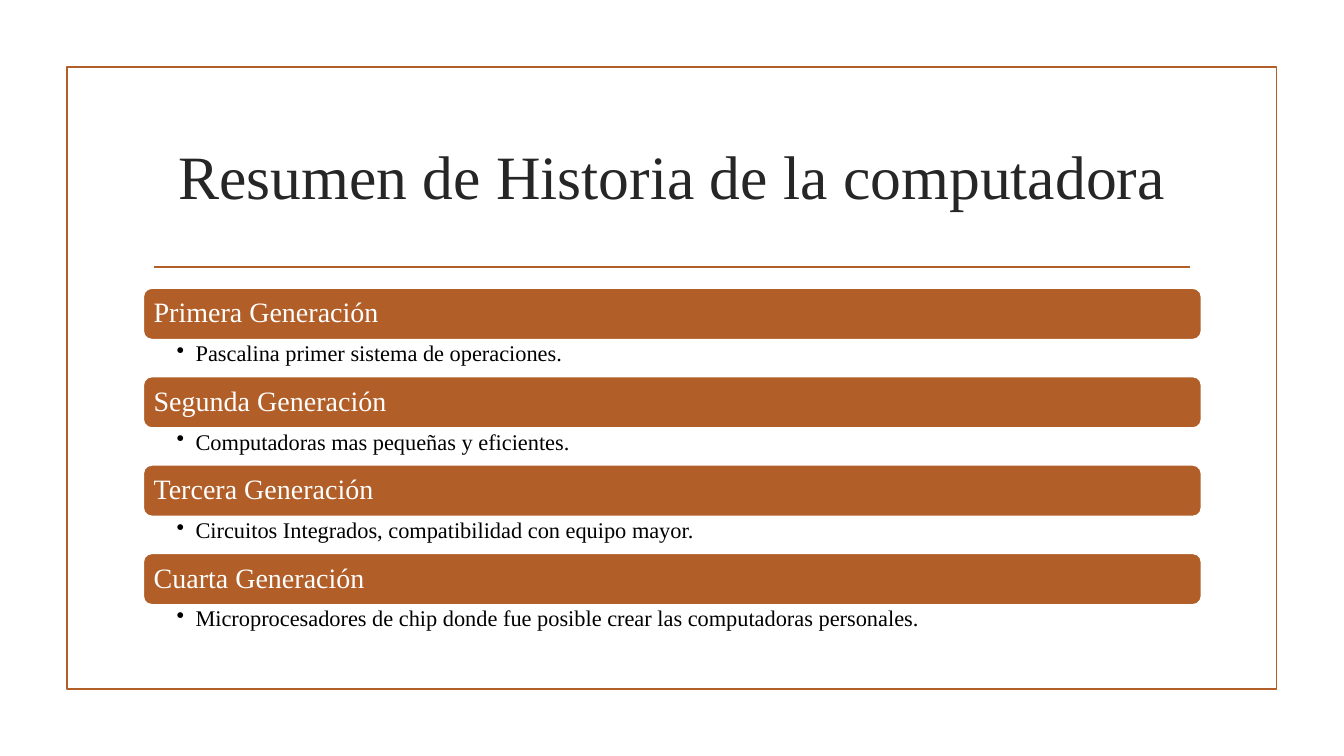
from dataclasses import dataclass

from lxml.etree import SubElement
from pptx import Presentation
from pptx.dml.color import RGBColor
from pptx.enum.shapes import MSO_CONNECTOR as Connector, MSO_SHAPE as Shape
from pptx.enum.text import MSO_ANCHOR as Anchor, PP_ALIGN as Align
from pptx.oxml.ns import qn
from pptx.util import Cm, Pt


@dataclass(frozen=True)
class Theme:
    font: str = "Times New Roman"
    accent: RGBColor = RGBColor(0xB1, 0x5E, 0x28)
    title: RGBColor = RGBColor(0x26, 0x26, 0x26)
    body: RGBColor = RGBColor(0, 0, 0)
    light: RGBColor = RGBColor(0xFF, 0xFF, 0xFF)
    title_size: int = 44
    heading_size: int = 20
    detail_size: int = 16
    line_width: float = 1.25


THEME = Theme()

GENERATIONS = [
    ("Primera Generación", "Pascalina primer sistema de operaciones."),
    ("Segunda Generación", "Computadoras mas pequeñas y eficientes."),
    ("Tercera Generación", "Circuitos Integrados, compatibilidad con equipo mayor."),
    ("Cuarta Generación", "Microprocesadores de chip donde fue posible crear "
                          "las computadoras personales."),
]


def write(box, text, *, size, color, align=Align.LEFT, anchor=Anchor.MIDDLE,
          margins=(0.25, 0.13, 0.25, 0.13), spacing=0.9, after=0, indent=None):
    """Fill a box with one paragraph; an indent in cm makes it a bullet."""
    frame = box.text_frame
    frame.word_wrap = True
    frame.vertical_anchor = anchor
    (frame.margin_left, frame.margin_top,
     frame.margin_right, frame.margin_bottom) = (Cm(margin) for margin in margins)
    para = frame.paragraphs[0]
    para.alignment = align
    para.line_spacing = spacing
    para.space_after = Pt(after)
    if indent:
        props = para._p.get_or_add_pPr()
        props.set("marL", str(Cm(indent)))
        props.set("indent", str(-Cm(indent)))
        SubElement(props, qn("a:buChar")).set("char", "•")
    span = para.add_run()
    span.text = text
    span.font.name = THEME.font
    span.font.size = Pt(size)
    span.font.color.rgb = color


def add_outlined(page, kind, left, top, width, height, line):
    shape = page.shapes.add_shape(kind, Cm(left), Cm(top), Cm(width), Cm(height))
    shape.shadow.inherit = False
    shape.line.color.rgb = line
    shape.line.width = Pt(THEME.line_width)
    return shape


def add_frame(page, left, top, width, height):
    add_outlined(page, Shape.RECTANGLE, left, top, width, height,
                 THEME.accent).fill.background()


def add_title(page, text, left, top, width, height):
    """Centred title with a rule below it."""
    box = page.shapes.add_textbox(Cm(left), Cm(top), Cm(width), Cm(height))
    write(box, text, size=THEME.title_size, color=THEME.title, align=Align.CENTER)

    inset, gap = 0.28, 0.38
    rule_top = Cm(top + height + gap)
    rule = page.shapes.add_connector(Connector.STRAIGHT, Cm(left + inset), rule_top,
                                     Cm(left + width - inset), rule_top)
    rule.line.color.rgb = THEME.accent
    rule.line.width = Pt(THEME.line_width)
    SubElement(rule._element.spPr, qn("a:effectLst"))


def add_generations(page, items, left, top, width, height):
    """Stack of heading bars, each followed by a bulleted detail."""
    pitch = height / len(items)
    bar_height = 1.3
    for index, (heading, detail) in enumerate(items):
        bar_top = top + index * pitch
        bar = add_outlined(page, Shape.ROUNDED_RECTANGLE, left, bar_top, width,
                           bar_height, THEME.light)
        bar.fill.solid()
        bar.fill.fore_color.rgb = THEME.accent
        write(bar, heading, size=THEME.heading_size, color=THEME.light,
              margins=(0.2, 0.2, 0.2, 0.2))

        box = page.shapes.add_textbox(Cm(left), Cm(bar_top + bar_height),
                                      Cm(width), Cm(pitch - bar_height))
        write(box, detail, size=THEME.detail_size, color=THEME.body,
              anchor=Anchor.TOP, margins=(0.84, 0.07, 0.4, 0.07),
              after=3.2, indent=0.48)


def main():
    deck = Presentation()
    deck.slide_width, deck.slide_height = Cm(33.87), Cm(19.05)
    page = deck.slides.add_slide(deck.slide_layouts[6])

    left, width = 3.61, 26.67
    add_frame(page, 1.69, 1.69, 30.48, 15.67)
    add_title(page, "Resumen de Historia de la computadora", left, 2.72, width, 3.63)
    add_generations(page, GENERATIONS, left, 7.26, width, 8.91)
    deck.save("out.pptx")


if __name__ == "__main__":
    main()
